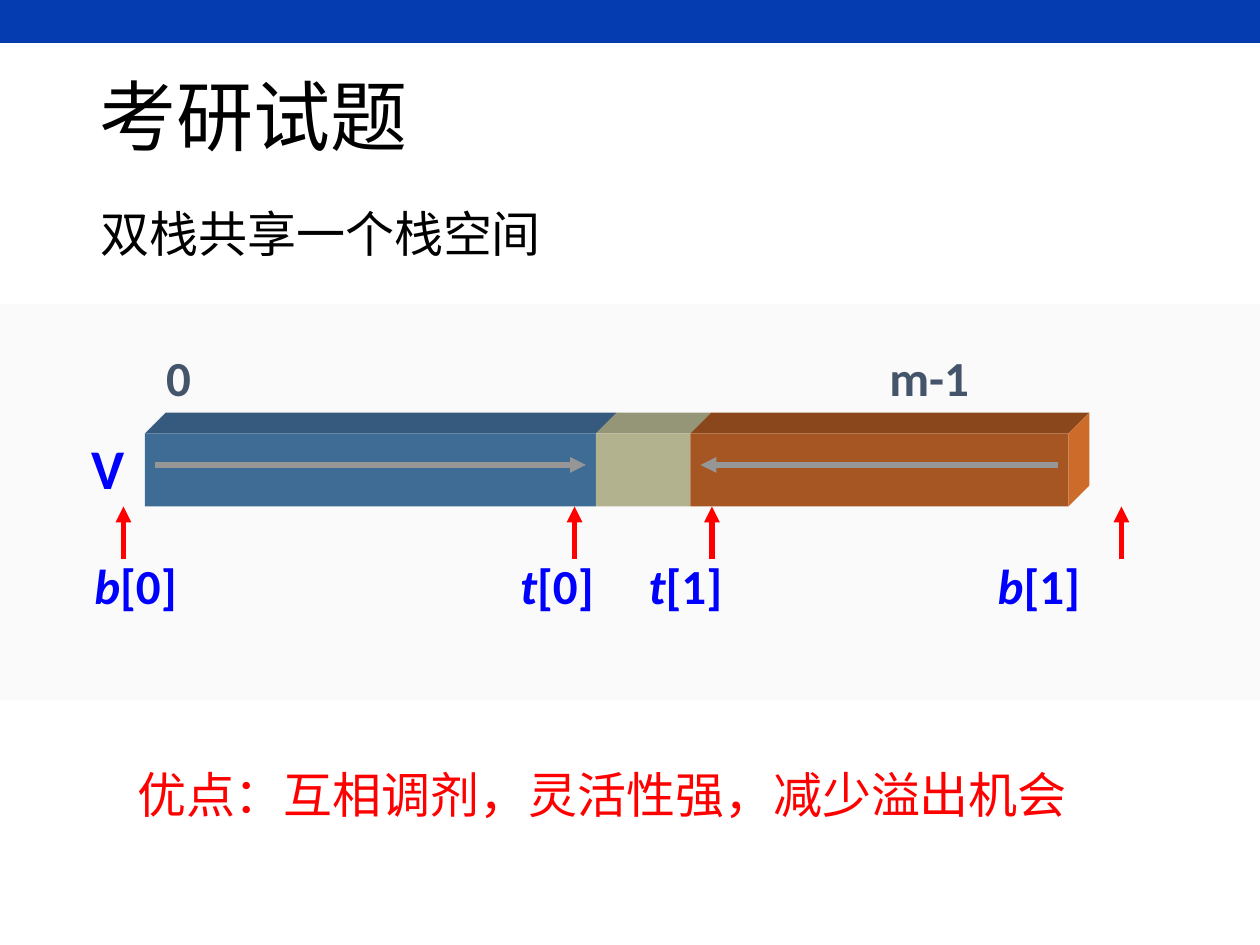
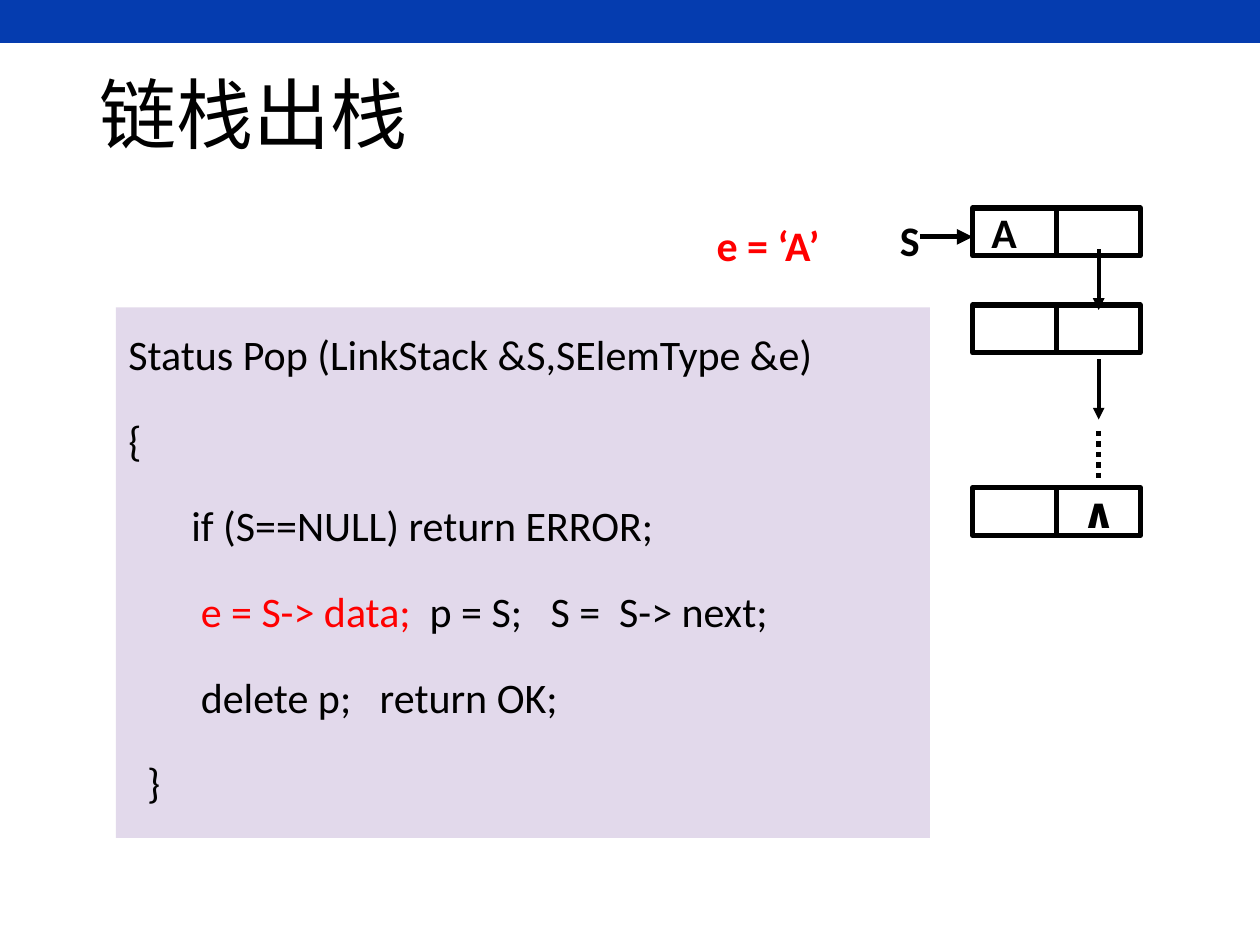
from pptx import Presentation
from pptx.dml.color import RGBColor as RGB
from pptx.enum.shapes import MSO_CONNECTOR as Link, MSO_SHAPE as Shape
from pptx.enum.text import MSO_ANCHOR as Anchor, PP_ALIGN as Align
from pptx.oxml.ns import qn
from pptx.util import Inches, Pt
from lxml.etree import SubElement as sub

COLS, ROWS = 100, 75
CELL = Inches(10) // COLS
FONT = "Calibri"

BLACK, WHITE = RGB(0, 0, 0), RGB(255, 255, 255)
RED, BLUE = RGB(255, 0, 0), RGB(0, 0, 255)
BAND, PANEL = RGB(0x05, 0x3C, 0xAF), RGB(0xFA, 0xFA, 0xFA)
GREY, SLATE = RGB(0x96, 0x96, 0x96), RGB(0x44, 0x54, 0x6A)
LILAC = RGB(0xE2, 0xD9, 0xEB)
SIDE = RGB(0xCC, 0x6B, 0x2A)
# Width, front colour and top colour of each part of the array
PARTS = [
    (35.8, RGB(0x3F, 0x6C, 0x95), RGB(0x36, 0x5A, 0x7D)),
    (7.5, RGB(0xB2, 0xB2, 0x8F), RGB(0x95, 0x95, 0x77)),
    (30, RGB(0xA5, 0x56, 0x22), RGB(0x8A, 0x47, 0x1C)),
]
# Indent in columns, then the runs of each line of code
CODE = [
    (0, [("Status Pop (LinkStack &S,SElemType &e)", {})]),
    (0, [("{", {})]),
    (5, [("if (S==NULL) return ERROR;", {})]),
    (5.75, [("e = S-> data;", {"color": RED}), ("  p = S;   S =  S-> next;", {})]),
    (5.75, [("delete p;   return OK;", {})]),
    (1.5, [("}", {})]),
]


def grid(*cells):
    return [round(c * CELL) for c in cells]


def write(para, text, size=24, color=BLACK, bold=False, italic=False):
    run = para.add_run()
    run.text = text
    font = run.font
    font.name, font.size, font.bold, font.italic = FONT, Pt(size), bold, italic
    font.color.rgb = color


def label(slide, box, *runs, align=Align.LEFT, space=1, **form):
    """Add a one-line text box; each run is a string or (string, format)."""
    frame = slide.shapes.add_textbox(*grid(*box)).text_frame
    frame.word_wrap = True
    para = frame.paragraphs[0]
    para.alignment, para.line_spacing = align, space
    for run in runs:
        text, extra = (run, {}) if isinstance(run, str) else run
        write(para, text, **{**form, **extra})


def paint(shape, fill, line=None):
    shape.shadow.inherit = False
    shape.fill.solid()
    shape.fill.fore_color.rgb = fill
    if line is None:
        shape.line.fill.background()
    else:
        shape.line.color.rgb = line
        shape.line.width = Pt(3)
    return shape


def rect(slide, box, fill, line=None):
    shape = slide.shapes.add_shape(Shape.RECTANGLE, *grid(*box))
    return paint(shape, fill, line)


def face(slide, points, fill):
    start, *rest = [grid(*p) for p in points]
    path = slide.shapes.build_freeform(*start)
    path.add_line_segments(rest, close=True)
    paint(path.convert_to_shape(), fill)


def line(slide, start, end, color=BLACK, width=3, head=True, dash=None):
    link = slide.shapes.add_connector(Link.STRAIGHT, *grid(*start, *end))
    link.line.color.rgb, link.line.width = color, Pt(width)
    stroke = link.line._get_or_add_ln()
    if dash:
        sub(stroke, qn("a:prstDash"), val=dash)
    if head:
        sub(stroke, qn("a:tailEnd"), type="triangle")
    sub(link._element.spPr, qn("a:effectLst"))


def begin(deck, title, height):
    """Add a slide with the top band and its title."""
    slide = deck.slides.add_slide(deck.slide_layouts[5])
    rect(slide, (0, 0, COLS, 3.4), BAND)
    head = slide.shapes.title
    head.left, head.top, head.width, head.height = grid(6.9, 4, 86.2, height)
    frame = head.text_frame
    frame.vertical_anchor = Anchor.MIDDLE
    para = frame.paragraphs[0]
    para.alignment, para.line_spacing = Align.LEFT, 0.9
    write(para, title, size=44)
    return slide


def array(slide, left, top, height, depth):
    """Draw the array as a solid bar."""
    low, back = top + height, top - depth
    for wide, front, lid in PARTS:
        right = left + wide
        face(slide, [(left, top), (left + depth, back),
                     (right + depth, back), (right, top)], lid)
        rect(slide, (left, top, wide, height), front)
        left = right
    face(slide, [(left, top), (left + depth, back),
                 (left + depth, low - depth), (left, low)], SIDE)


def node(slide, top, left=77.2, wide=13.3, high=3.8):
    rect(slide, (left, top, wide, high), WHITE, BLACK)
    mid = left + wide / 2
    line(slide, (mid, top), (mid, top + high), head=False)


def listing(slide, box):
    frame = rect(slide, box, LILAC).text_frame
    frame.word_wrap = True
    frame.vertical_anchor = Anchor.TOP
    for i, (indent, runs) in enumerate(CODE):
        para = frame.add_paragraph() if i else frame.paragraphs[0]
        para.alignment, para.line_spacing = Align.LEFT, 1.3
        para.space_before = Pt(11.5 if i else 0)
        para._p.get_or_add_pPr().set("marL", str(grid(indent)[0]))
        for text, form in runs:
            write(para, text, **form)


def shared(deck):
    slide = begin(deck, "考研试题", 11.2)
    rect(slide, (0, 24.1, COLS, 31.5), PANEL)
    label(slide, (7, 15.4, 50, 6.2), "双栈共享一个栈空间", size=28, space=1.05)
    array(slide, 11.5, 34.4, 5.8, 1.65)
    for x, text in [(12.2, "0"), (69.6, "m-1")]:
        label(slide, (x, 27.1, 12, 5.7), text, size=28, color=SLATE, bold=True)
    label(slide, (6.3, 33.9, 5.2, 6.3), "V", size=32, color=BLUE, bold=True)
    for tip, x, name, index in [(9.8, 6.5, "b", 0), (45.6, 40.3, "t", 0),
                                (56.5, 50.5, "t", 1), (89, 78.2, "b", 1)]:
        line(slide, (tip, 44.4), (tip, 40.2), RED)
        label(slide, (x, 43.6, 10, 5.7), (name, {"italic": True}),
              f"[{index}]", size=28, color=BLUE, bold=True)
    for start, end in [(12.3, 46.5), (84, 55.6)]:
        line(slide, (start, 36.9), (end, 36.9), GREY)
    label(slide, (9.9, 60.2, 81, 5.7), "优点：互相调剂，灵活性强，减少溢出机会",
          size=28, color=RED)


def pop(deck):
    slide = begin(deck, "链栈出栈", 10.8)
    listing(slide, (9.2, 24.4, 64.6, 42.1))
    for top in (16.5, 24.2, 38.7):
        node(slide, top)
    link = 87.2
    for top in (19.8, 28.5):
        line(slide, (link, top), (link, top + 4.8), width=2.25)
    line(slide, (link, 34.2), (link, 38.1), head=False, dash="sysDot")
    line(slide, (73, 18.8), (77.2, 18.8))
    for x, y, text in [(84.7, 38.1, "∧"), (69.7, 16.5, "S"), (77.2, 15.9, "A")]:
        label(slide, (x, y, 5, 5.1), text, align=Align.CENTER, bold=True)
    label(slide, (52.2, 16.9, 17.5, 5), "e = ‘A’", align=Align.CENTER,
          color=RED, bold=True)


def main():
    deck = Presentation()
    deck.slide_width, deck.slide_height = grid(COLS, ROWS)
    shared(deck)
    pop(deck)
    deck.save("out.pptx")


if __name__ == "__main__":
    main()
